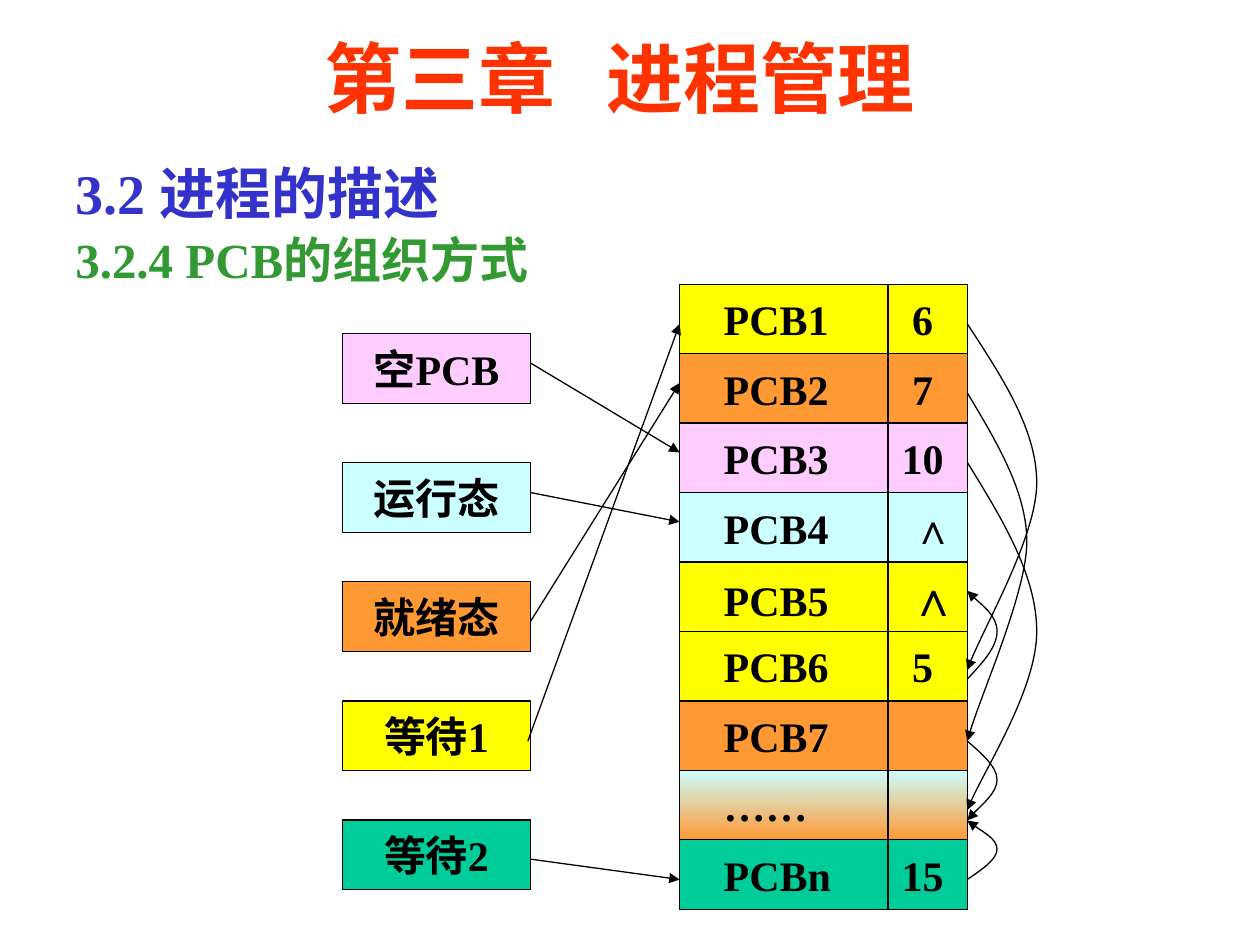
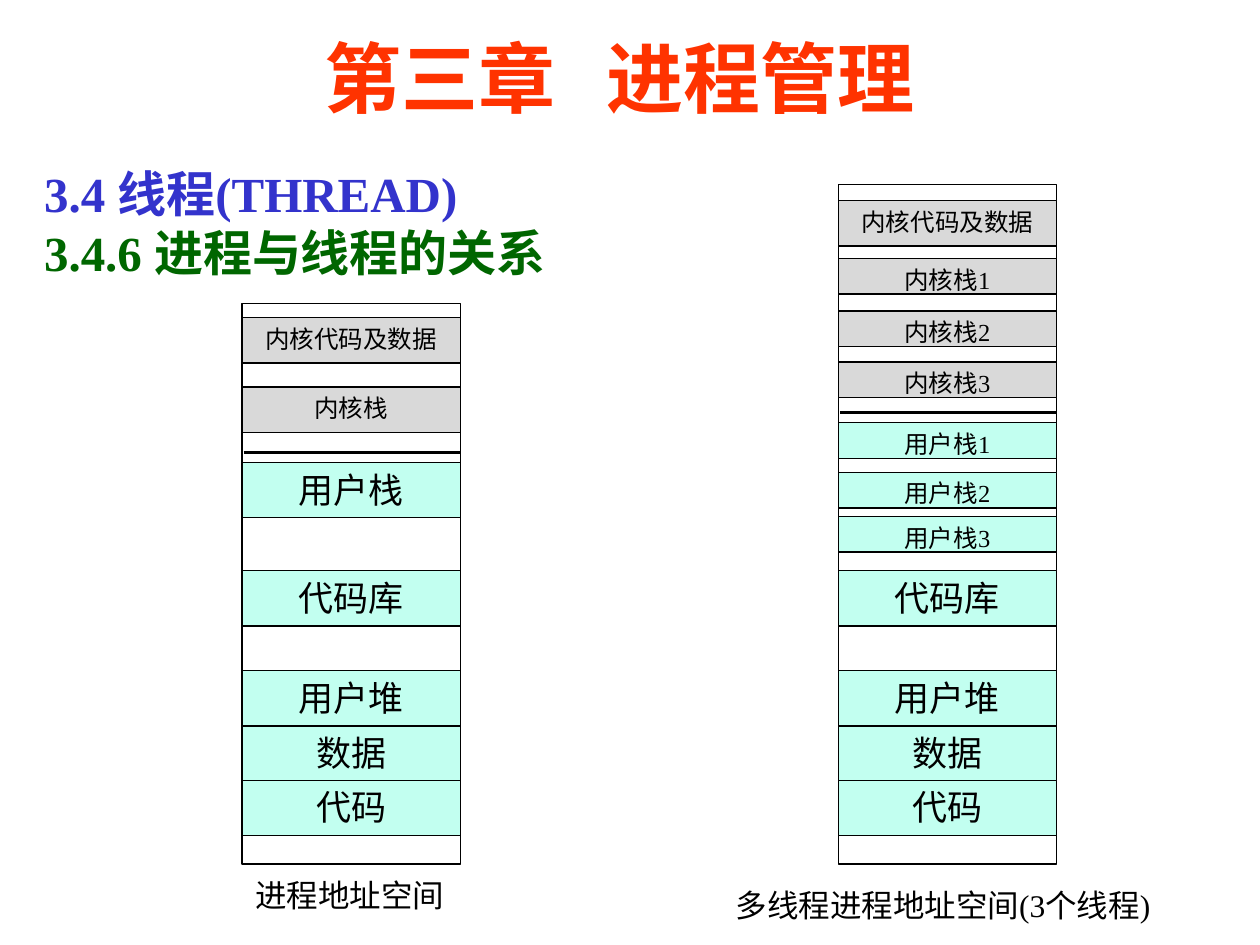
import lxml.etree
import pptx
import pptx.dml.color
import pptx.enum.shapes
import pptx.enum.text
import pptx.oxml.ns
import pptx.util

Cm = pptx.util.Cm
Pt = pptx.util.Pt
qn = pptx.oxml.ns.qn
CENTER = pptx.enum.text.PP_ALIGN.CENTER
LEFT = pptx.enum.text.PP_ALIGN.LEFT
MIDDLE = pptx.enum.text.MSO_ANCHOR.MIDDLE
TOP = pptx.enum.text.MSO_ANCHOR.TOP

FONT = "Times New Roman"
BLACK, WHITE = "000000", "FFFFFF"
RED, BLUE, GREEN, DARK_GREEN = "FF3300", "3333CC", "339933", "006600"
YELLOW, ORANGE, PINK, CYAN, TEAL = "FFFF00", "FF9933", "FFCCFF", "CCFFFF", "00CC99"
KERNEL_GREY, USER_MINT = "D9D9D9", "C2FFF0"

ROW_HEIGHT = 1.4
PCB_LEFT, PCB_TOP, PCB_WIDTH = 13.7, 5.73, 5.8
LINK_COLUMN = 17.9
STATE_LEFT, STATE_WIDTH = 6.9, 3.8
SPACE_WIDTH = 4.4


def rgb(hex_text):
    return pptx.dml.color.RGBColor.from_string(hex_text)


def style(paragraph, size, color=BLACK, bold=False, align=LEFT):
    paragraph.alignment = align
    paragraph.font.name = FONT
    paragraph.font.size = Pt(size)
    paragraph.font.bold = bold
    paragraph.font.color.rgb = rgb(color)


def add_text(slide, left, top, width, height):
    frame = slide.shapes.add_textbox(Cm(left), Cm(top), Cm(width), Cm(height)).text_frame
    frame.word_wrap = True
    return frame


def add_title(slide):
    frame = add_text(slide, 2.97, 0.18, 19.05, 2.74)
    frame.vertical_anchor = MIDDLE
    title = frame.paragraphs[0]
    for words in ("第三章", " ", "进程管理"):
        run = title.add_run()
        run.text = words
        if words == " ":
            run.font._element.set("spc", "1900")
    style(title, 44, RED, True, CENTER)


def add_headings(slide, left, top, headings, spacing=1.0, gap=0):
    frame = add_text(slide, left, top, 22.9, 2.7)
    for index, (words, size, color) in enumerate(headings):
        heading = frame.add_paragraph() if index else frame.paragraphs[0]
        heading.text = words
        heading.line_spacing = spacing
        if index:
            heading.space_before = Pt(gap)
        style(heading, size, color, True)


def add_caption(slide, left, top, width, words):
    caption = add_text(slide, left, top, width, 1.02).paragraphs[0]
    caption.text = words
    style(caption, 18)


def add_box(slide, left, top, width, height, fill, anchor=MIDDLE):
    box = slide.shapes.add_shape(
        pptx.enum.shapes.MSO_SHAPE.RECTANGLE, Cm(left), Cm(top), Cm(width), Cm(height))
    box.shadow.inherit = False
    if isinstance(fill, tuple):
        box.fill.gradient()
        box.fill.gradient_angle = 270
        for stop, color in zip(box.fill.gradient_stops, fill):
            stop.color.rgb = rgb(color)
    else:
        box.fill.solid()
        box.fill.fore_color.rgb = rgb(fill)
    box.line.color.rgb = rgb(BLACK)
    box.line.width = Pt(0.75)
    box.text_frame.vertical_anchor = anchor
    return box.text_frame


def add_label_box(slide, left, top, width, height, fill, words, size, bold=False, anchor=MIDDLE):
    label = add_box(slide, left, top, width, height, fill, anchor).paragraphs[0]
    label.text = words
    style(label, size, bold=bold, align=CENTER)


def add_arrowhead(line):
    lxml.etree.SubElement(line._get_or_add_ln(), qn("a:tailEnd"), type="triangle")


def add_line(slide, x1, y1, x2, y2, width=0.75, arrow=False):
    connector = slide.shapes.add_connector(
        pptx.enum.shapes.MSO_CONNECTOR.STRAIGHT, Cm(x1), Cm(y1), Cm(x2), Cm(y2))
    connector.line.color.rgb = rgb(BLACK)
    connector.line.width = Pt(width)
    if arrow:
        add_arrowhead(connector.line)
    lxml.etree.SubElement(connector._element.spPr, qn("a:effectLst"))


def add_link_curve(slide, start, middle, end, bulge):
    x = PCB_LEFT + PCB_WIDTH
    step = (middle - start) / 3
    turn = middle + step
    points = [
        (x + bulge / 2, start + step), (x + bulge, middle - step), (x + bulge, middle),
        (x + bulge, turn), (x + 0.16 * bulge, turn + 0.75 * (end - turn)), (x, end)]
    builder = slide.shapes.build_freeform(Cm(x), Cm(start))
    builder.add_line_segments([(Cm(px), Cm(py)) for px, py in points], close=False)
    curve = builder.convert_to_shape()
    outline = next(curve._element.iter(qn("a:path")))
    segments = outline.findall(qn("a:lnTo"))
    for first in range(0, len(segments), 3):
        bezier = lxml.etree.SubElement(outline, qn("a:cubicBezTo"))
        for segment in segments[first:first + 3]:
            bezier.append(segment[0])
            outline.remove(segment)
    curve.shadow.inherit = False
    curve.fill.background()
    curve.line.color.rgb = rgb(BLACK)
    curve.line.width = Pt(0.75)
    add_arrowhead(curve.line)


def add_pcb_row(slide, index, name, link, fill, link_size=24):
    top = PCB_TOP + index * ROW_HEIGHT
    frame = add_box(slide, PCB_LEFT, top, PCB_WIDTH, ROW_HEIGHT, fill)
    frame.margin_left = Cm(0.89)
    frame.margin_right = 0
    entry = frame.paragraphs[0]
    if link:
        tabs = lxml.etree.SubElement(entry._p.get_or_add_pPr(), qn("a:tabLst"))
        position = Cm(4.23 if link == "∧" else 4.01)
        lxml.etree.SubElement(tabs, qn("a:tab"), pos=str(int(position)), algn="ctr")
    entry.add_run().text = name + ("\t" if link else "")
    if link:
        link_run = entry.add_run()
        link_run.text = link
        if link_size != 24:
            link_run.font.size = Pt(link_size)
    style(entry, 24, bold=True)
    add_line(slide, LINK_COLUMN, top, LINK_COLUMN, top + ROW_HEIGHT)


def build_pcb_slide(slide):
    add_headings(slide, 1.27, 3.23, [
        ("3.2 进程的描述", 32, BLUE), ("3.2.4 PCB的组织方式", 28, GREEN)], 0.9, 5.5)
    add_title(slide)
    rows = [
        ("PCB1", "6", YELLOW), ("PCB2", "7", ORANGE), ("PCB3", "10", PINK),
        ("PCB4", "∧", CYAN), ("PCB5", "∧", YELLOW, 28), ("PCB6", "5", YELLOW),
        ("PCB7", "", ORANGE), ("……", "", (CYAN, ORANGE)), ("PCBn", "15", TEAL)]
    for index, row in enumerate(rows):
        add_pcb_row(slide, index, *row)
    states = [
        ("空PCB", 6.73, PINK), ("运行态", 9.33, CYAN), ("就绪态", 11.73, ORANGE),
        ("等待1", 14.13, YELLOW), ("等待2", 16.53, TEAL)]
    for words, top, fill in states:
        add_label_box(slide, STATE_LEFT, top, STATE_WIDTH, ROW_HEIGHT, fill, words, 24, True)
    pointers = [
        (10.7, 7.32, 9.12), (10.7, 9.93, 10.52), (10.64, 14.94, 6.53),
        (10.7, 12.52, 7.72), (10.7, 17.32, 17.73)]
    for x, state_y, pcb_y in pointers:
        add_line(slide, x, state_y, PCB_LEFT, pcb_y, arrow=True)
    links = [
        (9.32, 12.73, 16.33, 1.4), (6.53, 9.73, 13.51, 1.4), (13.69, 12.73, 11.91, 0.6),
        (7.92, 10.92, 14.94, 1.2), (14.94, 15.72, 16.54, 0.6), (17.73, 17.12, 16.54, 0.6)]
    for link in links:
        add_link_curve(slide, *link)


def add_address_space(slide, left, top, blocks, border):
    add_box(slide, left, top, SPACE_WIDTH, 17.42 - top, WHITE)
    shared = [("代码", 15.72), ("数据", 14.62), ("用户堆", 13.52), ("代码库", 11.5)]
    blocks = [(words, y, 1.12, USER_MINT, 20) for words, y in shared] + blocks
    for words, y, height, fill, size in blocks:
        add_label_box(slide, left, y, SPACE_WIDTH, height, fill, words, size, anchor=TOP)
    add_line(slide, left + 0.03, border, left + SPACE_WIDTH, border, 1.5)


def build_thread_slide(slide):
    add_headings(slide, 0.64, 3.18, [
        ("3.4 线程(THREAD)", 28, BLUE), ("3.4.6 进程与线程的关系", 28, DARK_GREEN)])
    add_title(slide)
    add_address_space(slide, 4.88, 6.12, [
        ("用户栈", 9.32, 1.12, USER_MINT, 20),
        ("内核栈", 7.8, 0.92, KERNEL_GREY, 14),
        ("内核代码及数据", 6.4, 0.92, KERNEL_GREY, 14)], 9.12)
    add_caption(slide, 4.9, 17.53, 4.93, "进程地址空间")
    stacks = [
        ("用户栈1", 8.52, USER_MINT), ("用户栈2", 9.52, USER_MINT), ("用户栈3", 10.41, USER_MINT),
        ("内核栈1", 5.21, KERNEL_GREY), ("内核栈2", 6.27, KERNEL_GREY),
        ("内核栈3", 7.3, KERNEL_GREY)]
    add_address_space(
        slide, 16.9, 3.72,
        [(words, y, 0.72, fill, 14) for words, y, fill in stacks]
        + [("内核代码及数据", 4.04, 0.92, KERNEL_GREY, 14)], 8.32)
    add_caption(slide, 14.58, 17.73, 9.53, "多线程进程地址空间(3个线程)")


def main():
    deck = pptx.Presentation()
    deck.slide_width, deck.slide_height = Cm(25.4), Cm(19.05)
    for build in (build_pcb_slide, build_thread_slide):
        build(deck.slides.add_slide(deck.slide_layouts[6]))
    deck.save("out.pptx")


if __name__ == "__main__":
    main()
